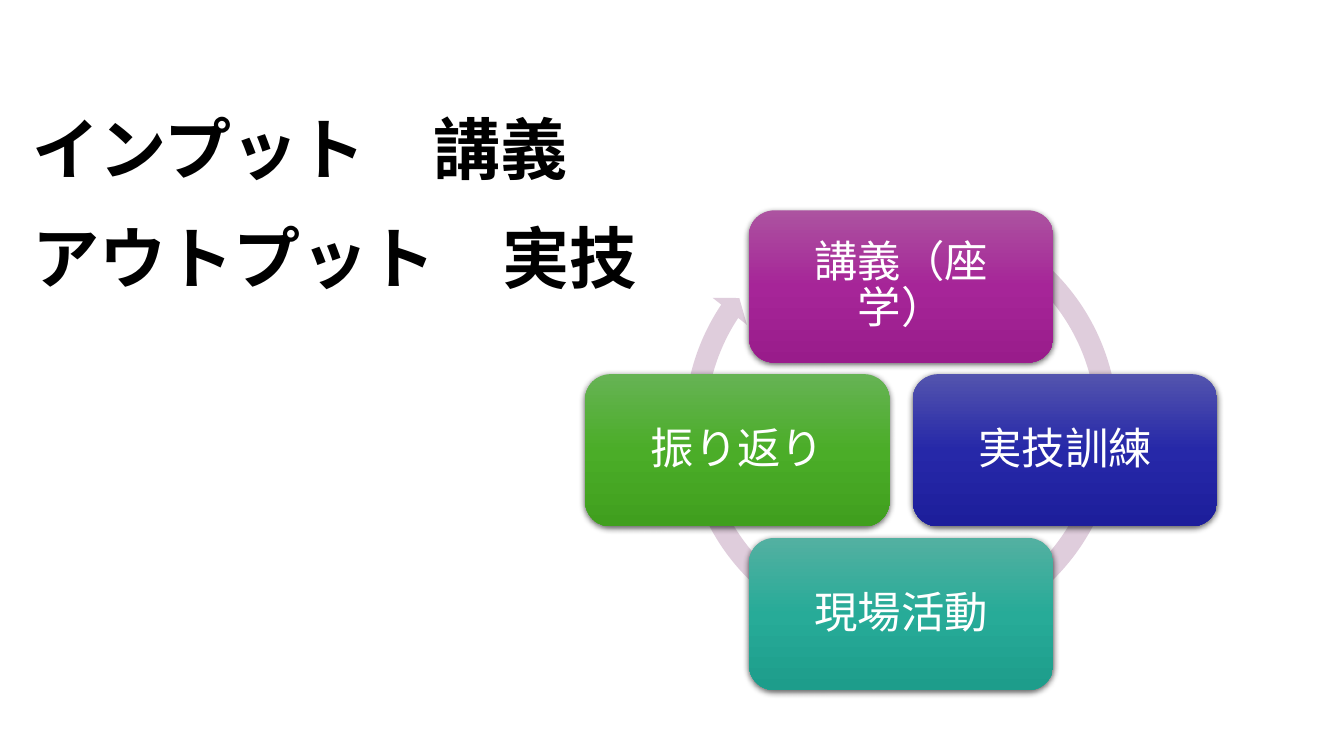
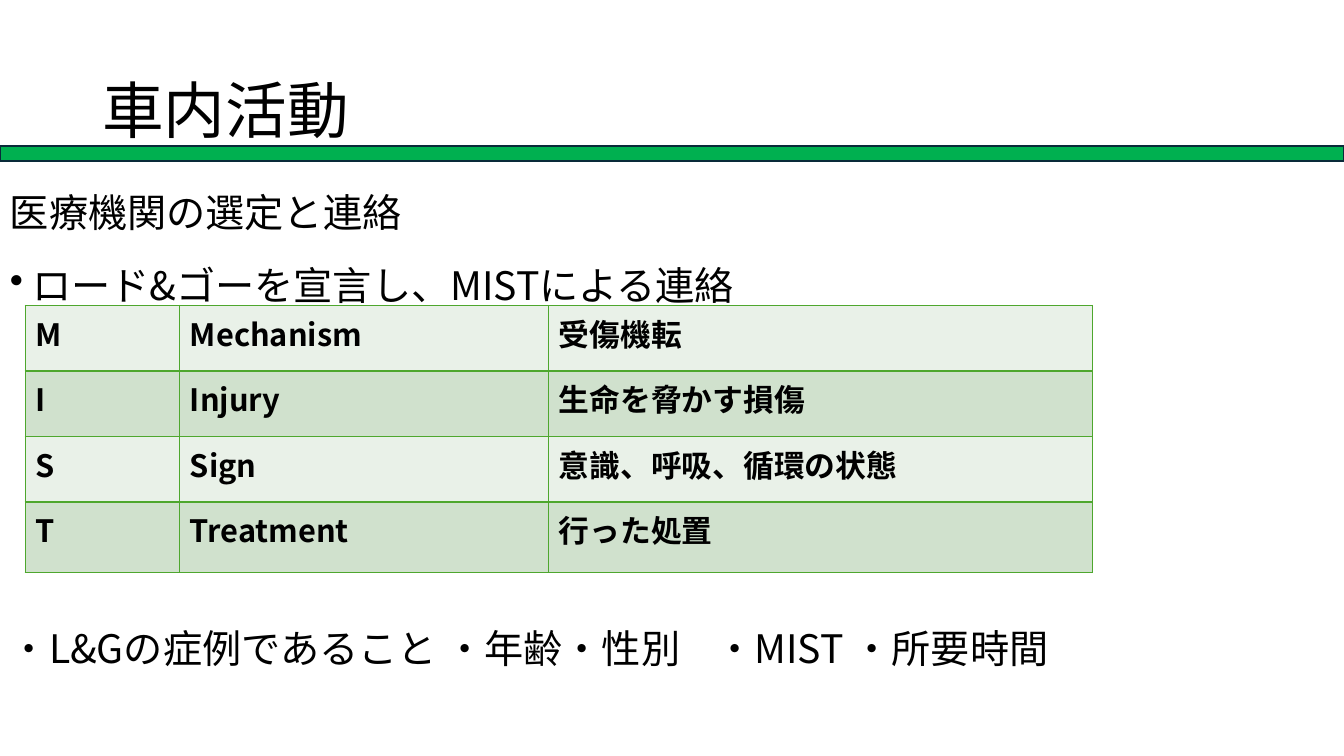
"""Builds two training slides: a cycle of learning and a report table."""
import pptx
import pptx.util
import pptx.dml.color
import pptx.enum.shapes
import pptx.enum.text
import pptx.oxml
import pptx.oxml.ns

Pt = pptx.util.Pt
Kind = pptx.enum.shapes.MSO_SHAPE
Align = pptx.enum.text.PP_ALIGN
Anchor = pptx.enum.text.MSO_ANCHOR

FONT = "Noto Sans CJK JP"
NS = pptx.oxml.ns.nsdecls("a")
HUES = {
    "text": "000000", "white": "FFFFFF", "ring": "DFCDDC",
    "band": "00B050", "edge": "092A39", "grid": "4EA72E",
    "pale": "E9F1E8", "deep": "D0E1CD",
}

HEADS = ["インプット　講義", "アウトプット　実技"]
STEPS = [
    ("講義（座学）", (0, -1), ("AC53A0", "A62598", "991C8B")),
    ("実技訓練", (1, 0), ("5354AE", "2628A8", "1D1E9B")),
    ("現場活動", (0, 1), ("53B0A1", "27AB98", "1D9D8B")),
    ("振り返り", (-1, 0), ("66B354", "4BAD28", "409F1E")),
]
TITLE = "車内活動"
LINES = [
    "医療機関の選定と連絡",
    "ロード&ゴーを宣言し、MISTによる連絡",
    "・L&Gの症例であること ・年齢・性別\t・MIST ・所要時間",
]
ROWS = [
    ("M", "Mechanism", "受傷機転"),
    ("I", "Injury", "生命を脅かす損傷"),
    ("S", "Sign", "意識、呼吸、循環の状態"),
    ("T", "Treatment", "行った処置"),
]
COLS = [110.5, 263.5, 388.5]
TALLS = [46.8, 46.8, 46.8, 50.4]

WIDE, TALL = 960, 540
MID = (643.7, 321.6)
CARD = (217.4, 108.7)
STEP = 117
RING = (481, 141.1, 325.4, 325.4)
TURN = [0.047, 2.73, 128.18, 180.4, 0.048]

HEAD = {"size": Pt(48), "bold": True}
NAME = {"size": Pt(44)}
BODY = {"size": Pt(28)}
CELL = {"size": Pt(22), "bold": True}
STAGE = {"size": Pt(31)}


def rgb(name):
    return pptx.dml.color.RGBColor.from_string(HUES[name])


def apply(item, look):
    for key, value in look.items():
        setattr(item, key, value)


def write(para, text, font, hue="text", **look):
    run = para.add_run()
    run.text = text
    apply(para, look)
    apply(run.font, {"name": FONT, **font})
    run.font.color.rgb = rgb(hue)
    east = pptx.oxml.parse_xml(f'<a:ea {NS} typeface="{FONT}"/>')
    run.font._element.find(pptx.oxml.ns.qn("a:latin")).addnext(east)


def box(slide, area, **look):
    frame = slide.shapes.add_textbox(*map(Pt, area)).text_frame
    apply(frame, {"word_wrap": True, **look})
    return frame


def paras(frame, count):
    return [frame.paragraphs[0]] + [frame.add_paragraph() for _ in range(count - 1)]


def shape(slide, kind, area, fill=None, edge=None):
    form = slide.shapes.add_shape(kind, *map(Pt, area))
    form.shadow.inherit = False
    if fill:
        form.fill.solid()
        form.fill.fore_color.rgb = rgb(fill)
    if edge:
        form.line.color.rgb = rgb(edge)
        form.line.width = Pt(1.5)
    else:
        form.line.fill.background()
    return form


def card(slide, text, side, hues):
    spot = [mid + way * STEP - size / 2 for mid, way, size in zip(MID, side, CARD)]
    form = shape(slide, Kind.ROUNDED_RECTANGLE, (*spot, *CARD))
    stops = "".join(
        f'<a:gs pos="{i * 50000}"><a:srgbClr val="{hue}"/></a:gs>'
        for i, hue in enumerate(hues))
    props = form._element.spPr
    find = lambda tag: props.find(pptx.oxml.ns.qn(tag))
    find("a:prstGeom").addnext(pptx.oxml.parse_xml(
        f'<a:gradFill {NS} rotWithShape="1"><a:gsLst>{stops}</a:gsLst>'
        '<a:lin ang="5400000" scaled="0"/></a:gradFill>'))
    find("a:effectLst").append(pptx.oxml.parse_xml(
        f'<a:outerShdw {NS} blurRad="{Pt(4.5)}" dist="{Pt(1.5)}" dir="5400000" '
        'algn="ctr" rotWithShape="0"><a:srgbClr val="000000">'
        '<a:alpha val="63000"/></a:srgbClr></a:outerShdw>'))
    frame = form.text_frame
    apply(frame, {"word_wrap": True, "vertical_anchor": Anchor.MIDDLE,
                  "margin_left": Pt(14), "margin_right": Pt(14)})
    write(frame.paragraphs[0], text, STAGE, "white",
          alignment=Align.CENTER, line_spacing=0.9)


def cycle(slide):
    frame = box(slide, (16, 64, 828, 181.4), vertical_anchor=Anchor.MIDDLE,
                margin_bottom=Pt(44.5))
    for para, text in zip(paras(frame, len(HEADS)), HEADS):
        write(para, text, HEAD, line_spacing=Pt(78))
    ring = shape(slide, Kind.CIRCULAR_ARROW, RING, "ring")
    for i, value in enumerate(TURN):
        ring.adjustments[i] = value
    for step in STEPS:
        card(slide, *step)


def grid(slide):
    area = (18, 218.2, sum(COLS), sum(TALLS))
    table = slide.shapes.add_table(len(ROWS), len(COLS), *map(Pt, area)).table
    apply(table, {"first_row": False, "horz_banding": False})
    for col, size in zip(table.columns, COLS):
        col.width = Pt(size)
    for i, (row, size) in enumerate(zip(table.rows, TALLS)):
        row.height = Pt(size)
        for cell, text in zip(row.cells, ROWS[i]):
            props = cell._tc.get_or_add_tcPr()
            for side in "LRTB":
                props.append(pptx.oxml.parse_xml(
                    f'<a:ln{side} {NS} w="{Pt(1)}"><a:solidFill>'
                    f'<a:srgbClr val="{HUES["grid"]}"/></a:solidFill></a:ln{side}>'))
            cell.fill.solid()
            cell.fill.fore_color.rgb = rgb("deep" if i % 2 else "pale")
            write(cell.text_frame.paragraphs[0], text, CELL)


def report(slide):
    frame = box(slide, (66, 28.8, 828, 104.4), vertical_anchor=Anchor.MIDDLE)
    write(frame.paragraphs[0], TITLE, NAME, line_spacing=0.9)
    shape(slide, Kind.RECTANGLE, (0, 104.4, WIDE, 10.8), "band", "edge")
    frame = box(slide, (0, 120.2, WIDE, 419.8), margin_top=Pt(6))
    first, point, last = paras(frame, len(LINES))
    props = point._p.get_or_add_pPr()
    props.set("marL", str(Pt(16)))
    props.set("indent", str(-Pt(16)))
    props.append(pptx.oxml.parse_xml(f'<a:buChar {NS} char="•"/>'))
    last._p.get_or_add_pPr().append(pptx.oxml.parse_xml(
        f'<a:tabLst {NS}><a:tab pos="{Pt(504)}" algn="l"/></a:tabLst>'))
    for para, text, gap in zip((first, point, last), LINES, (0, 10, 217.5)):
        write(para, text, BODY, line_spacing=Pt(42), space_before=Pt(gap))
    grid(slide)


def main():
    deck = pptx.Presentation()
    apply(deck, {"slide_width": Pt(WIDE), "slide_height": Pt(TALL)})
    for draw in (cycle, report):
        draw(deck.slides.add_slide(deck.slide_layouts[6]))
    deck.save("out.pptx")


if __name__ == "__main__":
    main()
